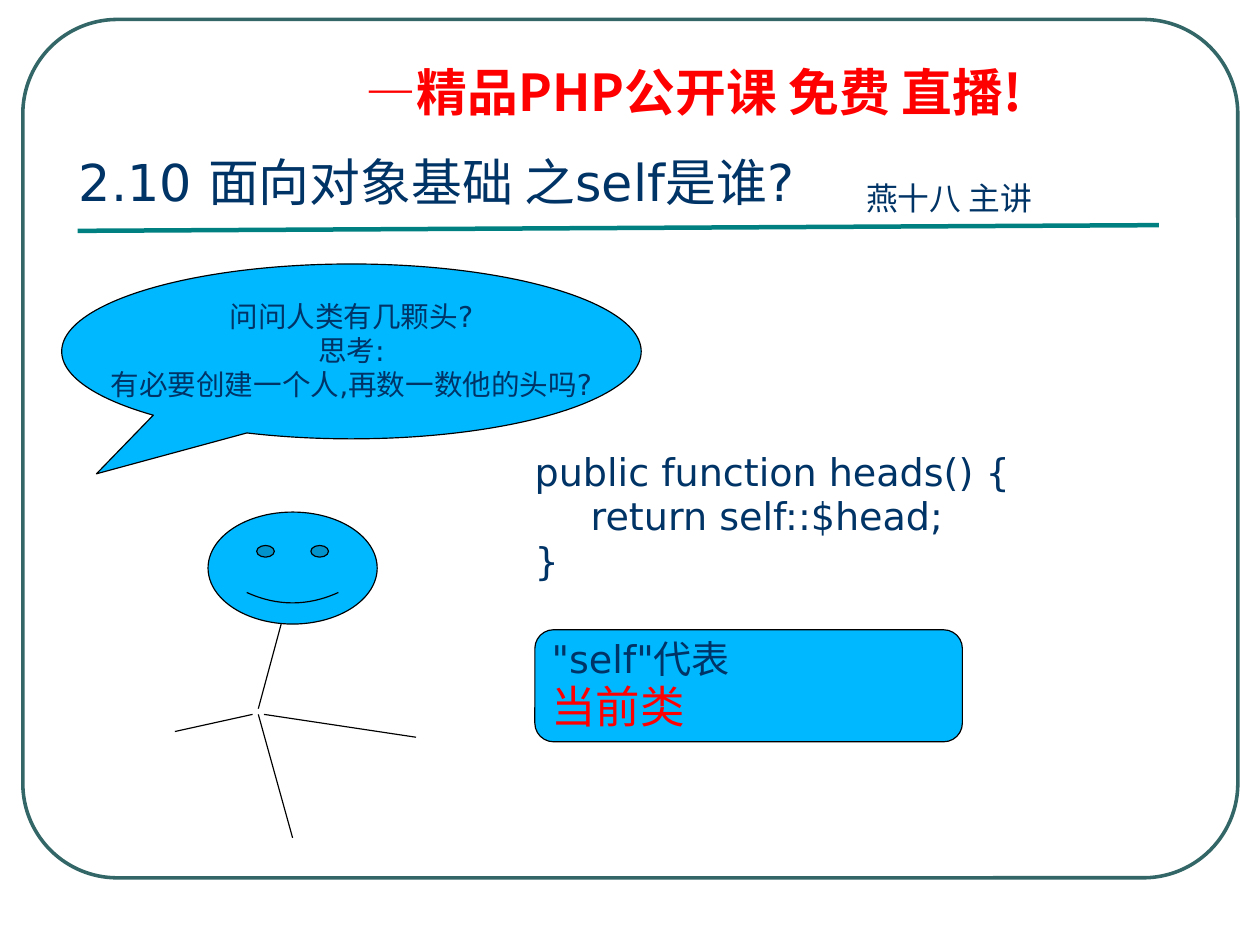
from dataclasses import dataclass

from lxml import etree
from pptx import Presentation
from pptx.dml.color import RGBColor
from pptx.enum.shapes import MSO_CONNECTOR, MSO_SHAPE
from pptx.enum.text import MSO_ANCHOR, PP_ALIGN
from pptx.oxml.ns import qn
from pptx.util import Inches, Pt

STRAIGHT = MSO_CONNECTOR.STRAIGHT
ROUNDED = MSO_SHAPE.ROUNDED_RECTANGLE
CALLOUT = MSO_SHAPE.OVAL_CALLOUT
SMILEY = MSO_SHAPE.SMILEY_FACE
PROCESS = MSO_SHAPE.FLOWCHART_ALTERNATE_PROCESS
TOP, MIDDLE = MSO_ANCHOR.TOP, MSO_ANCHOR.MIDDLE
LEFT, CENTER = PP_ALIGN.LEFT, PP_ALIGN.CENTER

# The page measures 28 by 21 centimetres
CM_PER_INCH = 2.54
PAGE_WIDTH = Inches(28 / CM_PER_INCH)
PAGE_HEIGHT = Inches(21 / CM_PER_INCH)


@dataclass(frozen=True)
class Theme:
    navy: str = "003366"
    red: str = "FF0000"
    sky: str = "00B8FF"
    black: str = "000000"
    frame: str = "336666"
    teal: str = "008080"
    latin: str = "DejaVu Sans"
    chinese: str = "Noto Sans CJK SC"
    heading: int = 32
    emphasis: int = 28
    body: int = 24
    byline: int = 20
    speech: int = 18
    thin: float = 0.75
    frame_width: float = 2.25
    rule_width: float = 2.83


THEME = Theme()


@dataclass(frozen=True)
class Line:
    text: str
    size: int
    color: str = THEME.navy
    font: str = THEME.latin
    bold: bool = False


@dataclass(frozen=True)
class TextBlock:
    area: tuple[float, float, float, float]
    lines: list[Line]
    anchor: MSO_ANCHOR = TOP
    spacing: float = 0.98


@dataclass(frozen=True)
class Figure:
    kind: MSO_SHAPE
    area: tuple[float, float, float, float]
    adjustments: tuple[float, ...] = ()
    fill: str | None = THEME.sky
    line: str = THEME.black
    width: float = THEME.thin
    lines: tuple[Line, ...] = ()
    align: PP_ALIGN = LEFT


@dataclass(frozen=True)
class Stroke:
    start: tuple[float, float]
    end: tuple[float, float]
    color: str = THEME.black
    width: float = THEME.thin


def write_lines(frame, lines, align=LEFT, spacing=0.98) -> None:
    for index, line in enumerate(lines):
        para = frame.paragraphs[0] if index == 0 else frame.add_paragraph()
        para.add_run().text = line.text
        para.alignment = align
        para.line_spacing = spacing
        if "\t" in line.text:
            tabs = etree.SubElement(para._p.get_or_add_pPr(), qn("a:tabLst"))
            etree.SubElement(tabs, qn("a:tab"), pos=str(Inches(0.49)), algn="l")
        para.font.name = line.font
        para.font.size = Pt(line.size)
        para.font.bold = line.bold
        para.font.color.rgb = RGBColor.from_string(line.color)


def draw_text(page, block: TextBlock) -> None:
    box = page.shapes.add_textbox(*map(Inches, block.area))
    frame = box.text_frame
    frame.word_wrap = True
    frame.vertical_anchor = block.anchor
    write_lines(frame, block.lines, spacing=block.spacing)


def draw_figure(page, figure: Figure) -> None:
    shape = page.shapes.add_shape(figure.kind, *map(Inches, figure.area))
    shape.shadow.inherit = False
    for index, value in enumerate(figure.adjustments):
        shape.adjustments[index] = value
    if figure.fill:
        shape.fill.solid()
        shape.fill.fore_color.rgb = RGBColor.from_string(figure.fill)
    else:
        shape.fill.background()
    shape.line.color.rgb = RGBColor.from_string(figure.line)
    shape.line.width = Pt(figure.width)
    if figure.lines:
        shape.text_frame.word_wrap = False
        shape.text_frame.vertical_anchor = MIDDLE
        write_lines(shape.text_frame, figure.lines, figure.align)


def draw_stroke(page, stroke: Stroke) -> None:
    connector = page.shapes.add_connector(
        STRAIGHT, *map(Inches, stroke.start + stroke.end))
    connector.line.color.rgb = RGBColor.from_string(stroke.color)
    connector.line.width = Pt(stroke.width)
    etree.SubElement(connector._element.spPr, qn("a:effectLst"))


# Page frame and the rule under the title
PAGE_FRAME = Figure(ROUNDED, (0.2, 0.17, 10.63, 7.51), (0.11,), None,
                    THEME.frame, THEME.frame_width)
TITLE_RULE = Stroke((0.68, 2.02), (10.14, 1.97), THEME.teal, THEME.rule_width)

# Headings and code
TEXT_BLOCKS = [
    TextBlock((3.1, 0.54, 6.89, 0.58),
              [Line("—精品PHP公开课 免费 直播!", THEME.heading, THEME.red,
                    THEME.chinese, True)], spacing=0.9),
    TextBlock((7.48, 1.53, 1.86, 0.43),
              [Line("燕十八 主讲", THEME.byline, font=THEME.chinese)]),
    TextBlock((0.59, 1.24, 9.15, 0.74),
              [Line("2.10 面向对象基础 之self是谁?", THEME.heading)], MIDDLE),
    TextBlock((4.58, 3.89, 5.76, 1.28),
              [Line(code, THEME.body) for code in (
                  "public function heads() {", "\treturn self::$head;", "}")]),
]

# Speech bubble, head and answer
FIGURES = [
    Figure(CALLOUT, (0.54, 2.31, 5.07, 1.53), (-0.44, 0.7), align=CENTER,
           lines=tuple(Line(text, THEME.speech) for text in (
               "问问人类有几颗头?", "思考:",
               "有必要创建一个人,再数一数他的头吗?"))),
    Figure(SMILEY, (1.82, 4.48, 1.48, 0.98), (0.05,)),
    Figure(PROCESS, (4.68, 5.51, 3.74, 0.98),
           lines=(Line('"self"代表', THEME.body),
                  Line("当前类", THEME.emphasis, THEME.red))),
]

# Neck, legs and two arms
LIMBS = [
    Stroke((2.46, 5.46), (2.26, 6.2)),
    Stroke((2.26, 6.25), (2.56, 7.33)),
    Stroke((2.21, 6.25), (1.53, 6.4)),
    Stroke((2.31, 6.25), (3.64, 6.45)),
]


def main() -> None:
    deck = Presentation()
    deck.slide_width = PAGE_WIDTH
    deck.slide_height = PAGE_HEIGHT
    page = deck.slides.add_slide(deck.slide_layouts[6])
    draw_figure(page, PAGE_FRAME)
    draw_stroke(page, TITLE_RULE)
    for block in TEXT_BLOCKS:
        draw_text(page, block)
    for limb in LIMBS:
        draw_stroke(page, limb)
    for figure in FIGURES:
        draw_figure(page, figure)
    deck.save("out.pptx")


if __name__ == "__main__":
    main()
